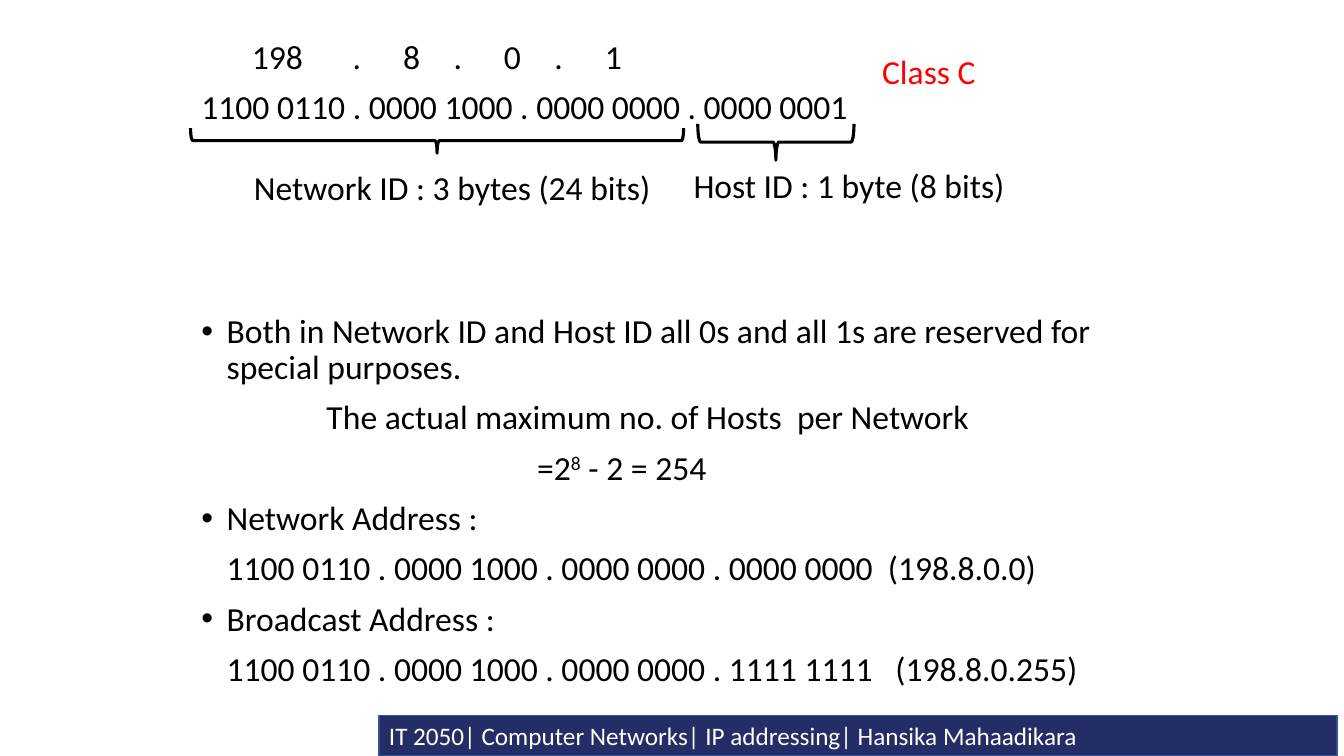
from lxml import etree
from pptx import Presentation
from pptx.dml.color import RGBColor
from pptx.enum.shapes import MSO_SHAPE
from pptx.enum.text import MSO_ANCHOR, PP_ALIGN
from pptx.oxml.ns import qn
from pptx.util import Inches, Pt

RECTANGLE = MSO_SHAPE.RECTANGLE
RIGHT_BRACE = MSO_SHAPE.RIGHT_BRACE
MIDDLE = MSO_ANCHOR.MIDDLE
LEFT = PP_ALIGN.LEFT

BLACK, WHITE, RED = "000000", "FFFFFF", "FF0000"
NAVY, BLUE = "252D67", "325491"

OCTET_ROW = "\t198\t.\t8\t.\t0\t.\t1"
OCTET_STOPS = (0.55, 1.44, 2.55, 3.40, 4.23, 5.08, 5.85)
HANGING = 0.25
GAP_BELOW_BRACES = 134  # points

# text pieces (every second one is superscript), left margin, bulleted, space before
BODY = [
    (["1100 0110 . 0000 1000 . 0000 0000 . 0000 0001"], 0, False, 10),
    (["Both in Network ID and Host ID all 0s and all 1s are reserved for special purposes."],
     HANGING, True, GAP_BELOW_BRACES),
    (["The actual maximum no. of Hosts  per Network"], 1.24, False, 10),
    (["=2", "8", " - 2 = 254"], 3.33, False, 10),
    (["Network Address :"], HANGING, True, 10),
    (["1100 0110 . 0000 1000 . 0000 0000 . 0000 0000  (198.8.0.0)"], HANGING, False, 10),
    (["Broadcast Address :"], HANGING, True, 10),
    (["1100 0110 . 0000 1000 . 0000 0000 . 1111 1111   (198.8.0.255)"], HANGING, False, 10),
]


def rgb(color):
    return RGBColor.from_string(color)


class AddressSlide:
    font_name = "Calibri"
    text_size = 24

    def __init__(self, presentation):
        self.shapes = presentation.slides.add_slide(presentation.slide_layouts[6]).shapes

    def style(self, paragraph, color=BLACK, size=text_size):
        font = paragraph.font
        font.name, font.size = self.font_name, Pt(size)
        font.color.rgb = rgb(color)

    def footer(self, text, left, top, width, height):
        bar = self.shapes.add_shape(RECTANGLE, Inches(left), Inches(top),
                                    Inches(width), Inches(height))
        bar.shadow.inherit = False
        bar.fill.solid()
        bar.fill.fore_color.rgb = rgb(NAVY)
        bar.line.color.rgb = rgb(BLUE)
        bar.line.width = Pt(1)
        bar.text_frame.vertical_anchor = MIDDLE
        paragraph = bar.text_frame.paragraphs[0]
        paragraph.text = text
        paragraph.alignment = LEFT
        self.style(paragraph, WHITE, 18)

    def text_frame(self, left, top, width, height):
        frame = self.shapes.add_textbox(Inches(left), Inches(top),
                                        Inches(width), Inches(height)).text_frame
        frame.word_wrap = True
        return frame

    def label(self, text, left, top, width, color=BLACK):
        paragraph = self.text_frame(left, top, width, 0.51).paragraphs[0]
        paragraph.text = text
        self.style(paragraph, color)

    def brace(self, left, top, span, depth):
        """Brace pointing down, given by its outline as seen on the slide."""
        brace = self.shapes.add_shape(
            RIGHT_BRACE, Inches(left + (span - depth) / 2), Inches(top + (depth - span) / 2),
            Inches(depth), Inches(span))
        brace.rotation = 90
        brace.shadow.inherit = False
        brace.fill.background()
        brace.line.color.rgb = rgb(BLACK)
        brace.line.width = Pt(2.25)

    def body_paragraph(self, paragraph, pieces, margin, bulleted, space_before):
        paragraph.line_spacing = 0.9
        paragraph.space_before = Pt(space_before)
        self.style(paragraph)
        for index, piece in enumerate(pieces):
            run = paragraph.add_run()
            run.text = piece
            if index % 2:
                run.font._element.set("baseline", "30000")
        properties = paragraph._p.get_or_add_pPr()
        properties.set("marL", str(Inches(margin)))
        properties.set("indent", str(Inches(-HANGING if bulleted else 0)))
        if bulleted:
            bullet_font = etree.Element(qn("a:buFont"), typeface="Arial")
            bullet = etree.Element(qn("a:buChar"), char="•")
            defaults = properties.find(qn("a:defRPr"))
            defaults.addprevious(bullet_font)
            defaults.addprevious(bullet)

    def tab_stops(self, paragraph, positions):
        stops = etree.Element(qn("a:tabLst"))
        for position in positions:
            etree.SubElement(stops, qn("a:tab"), pos=str(Inches(position)), algn="l")
        paragraph._p.pPr.find(qn("a:defRPr")).addprevious(stops)

    def body(self, left, top, width, height):
        frame = self.text_frame(left, top, width, height)
        octets = frame.paragraphs[0]
        self.body_paragraph(octets, [OCTET_ROW], 0, False, 10)
        self.tab_stops(octets, OCTET_STOPS)
        for row in BODY:
            self.body_paragraph(frame.add_paragraph(), *row)


def main():
    presentation = Presentation()
    presentation.slide_width = Inches(13.33)
    presentation.slide_height = Inches(7.5)
    slide = AddressSlide(presentation)
    slide.footer("IT 2050| Computer Networks| IP addressing| Hansika Mahaadikara",
                 3.76, 7.1, 9.5, 0.4)
    slide.body(1.9, 0.35, 9.67, 7.08)
    slide.brace(1.89, 1.27, 4.89, 0.25)
    slide.brace(6.92, 1.23, 1.55, 0.36)
    slide.label("Network ID : 3 bytes (24 bits)", 2.42, 1.61, 4.75)
    slide.label("Host ID : 1 byte (8 bits)", 6.78, 1.59, 4.08)
    slide.label("Class C", 8.65, 0.46, 1.83, RED)
    presentation.save("out.pptx")


if __name__ == "__main__":
    main()
